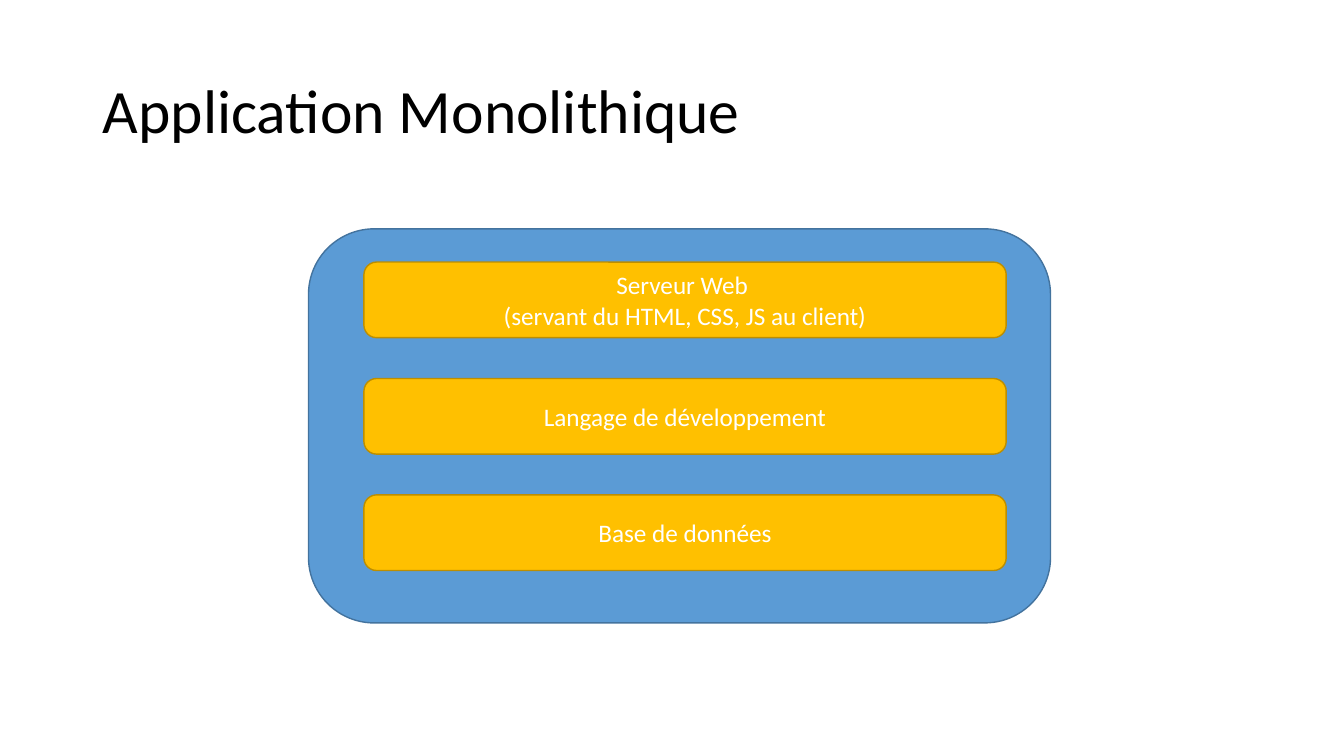
import dataclasses

import pptx
import pptx.dml.color
import pptx.enum.shapes
import pptx.enum.text
import pptx.presentation
import pptx.shapes.autoshape
import pptx.slide
import pptx.text.text
import pptx.util

Inches = pptx.util.Inches
Align = pptx.enum.text.PP_ALIGN


@dataclasses.dataclass(frozen=True)
class Theme:
    font: str = "Calibri"
    head: int = 44
    body: int = 18
    edge: int = 1
    back: str = "FFFFFF"
    dark: str = "000000"
    light: str = "FFFFFF"
    blue: str = "5B9BD5"
    navy: str = "43739E"
    gold: str = "FFC000"
    brown: str = "BD8E00"


@dataclasses.dataclass(frozen=True)
class Box:
    left: float
    top: float
    width: float
    height: float
    fill: str
    line: str
    lines: tuple[str, ...] = ()


THEME = Theme()
LAYERS = (
    ("Serveur Web ", "(servant du HTML, CSS, JS au client)"),
    ("Langage de développement",),
    ("Base de données",),
)
FIRST, LAST = 2.6, 4.91
STEP = (LAST - FIRST) / (len(LAYERS) - 1)


def color(code: str) -> pptx.dml.color.RGBColor:
    return pptx.dml.color.RGBColor.from_string(code)


def assign(target: object, values: dict[str, object]) -> None:
    for name, value in values.items():
        setattr(target, name, value)


def write(frame: pptx.text.text.TextFrame, lines: tuple[str, ...],
          size: int, tint: str, form: dict[str, object]) -> None:
    """Fill a frame with one paragraph per line, centred vertically."""
    assign(frame, {
        "text": "\n".join(lines),
        "word_wrap": True,
        "auto_size": pptx.enum.text.MSO_AUTO_SIZE.NONE,
        "vertical_anchor": pptx.enum.text.MSO_ANCHOR.MIDDLE,
    })
    for para in frame.paragraphs:
        assign(para, form)
        for run in para.runs:
            assign(run.font, {"name": THEME.font, "size": pptx.util.Pt(size)})
            run.font.color.rgb = color(tint)


def draw(slide: pptx.slide.Slide, box: Box) -> None:
    shape = slide.shapes.add_shape(
        pptx.enum.shapes.MSO_SHAPE.ROUNDED_RECTANGLE,
        Inches(box.left), Inches(box.top),
        Inches(box.width), Inches(box.height))
    shape.shadow.inherit = False
    shape.fill.solid()
    shape.fill.fore_color.rgb = color(box.fill)
    shape.line.color.rgb = color(box.line)
    shape.line.width = pptx.util.Pt(THEME.edge)
    if box.lines:
        write(shape.text_frame, box.lines, THEME.body, THEME.light,
              {"alignment": Align.CENTER})


def main() -> None:
    deck = pptx.Presentation()
    assign(deck, {"slide_width": Inches(13.33), "slide_height": Inches(7.5)})
    slide = deck.slides.add_slide(deck.slide_layouts.get_by_name("Title Only"))
    slide.background.fill.solid()
    slide.background.fill.fore_color.rgb = color(THEME.back)

    title = slide.shapes.title
    assign(title, {"left": Inches(0.92), "top": Inches(0.4),
                   "width": Inches(11.5), "height": Inches(1.45)})
    write(title.text_frame, ("Application Monolithique",), THEME.head,
          THEME.dark, {"alignment": Align.LEFT, "line_spacing": 0.9})

    draw(slide, Box(3.06, 2.27, 7.36, 3.91, THEME.blue, THEME.navy))
    for row, lines in enumerate(LAYERS):
        draw(slide, Box(3.61, FIRST + row * STEP, 6.37, 0.75,
                        THEME.gold, THEME.brown, lines))

    deck.save("out.pptx")


if __name__ == "__main__":
    main()
